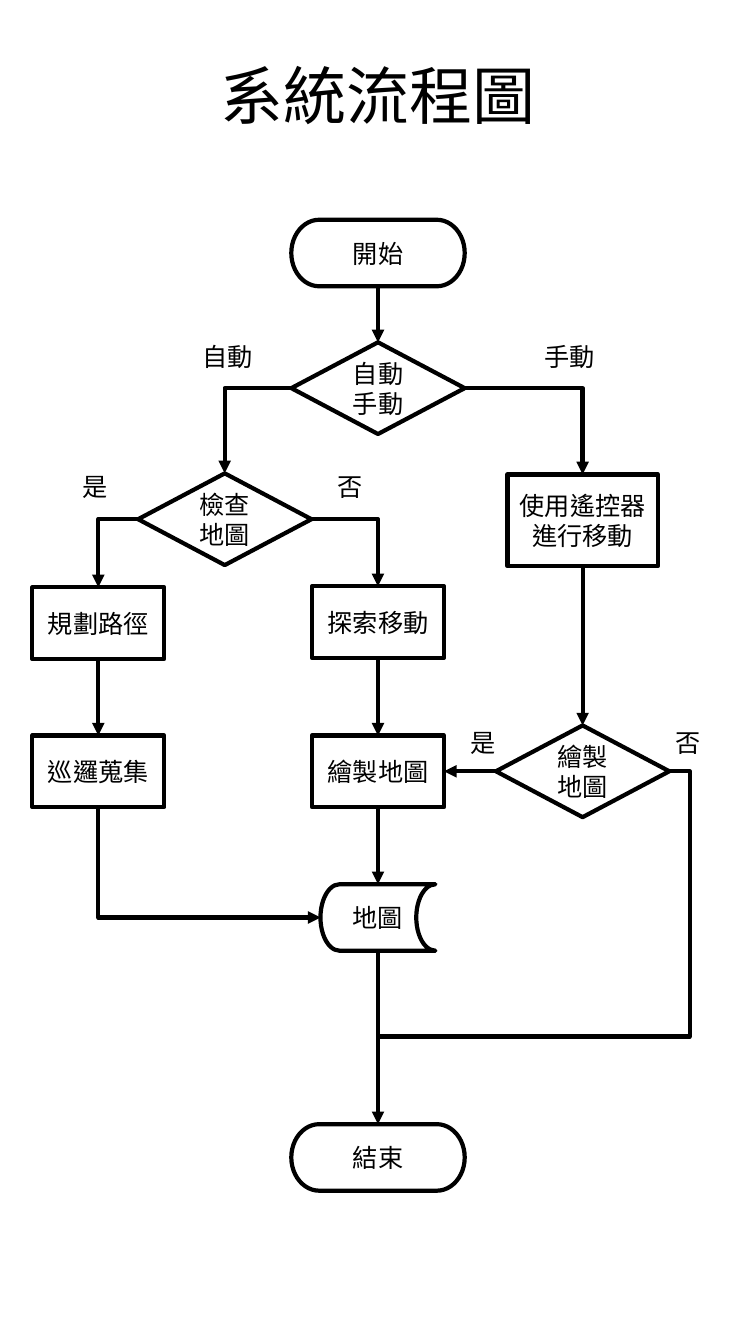
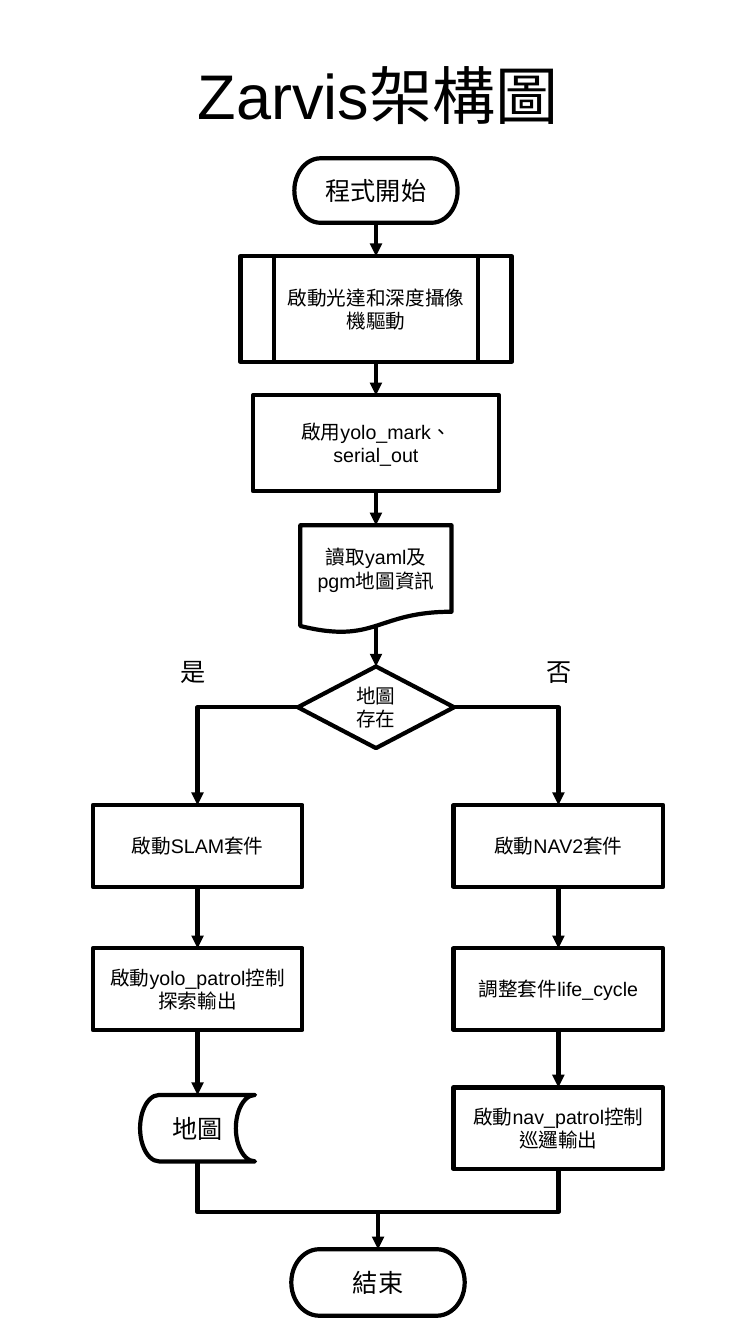
import pptx
import pptx.dml.color
import pptx.enum.shapes
import pptx.enum.text
import pptx.oxml
import pptx.oxml.ns
import pptx.util
import lxml.etree

INK = pptx.dml.color.RGBColor(0, 0, 0)
HAN, LATIN = "Noto Sans CJK SC", "Arial"
WIDE, TALL = pptx.util.Inches(7.5), pptx.util.Inches(13.33)
CELL = WIDE / 75          # grid of 75 columns, square cells
TOP = (0, 15)             # column and row where each chart begins
KIND = pptx.enum.shapes.MSO_SHAPE
LINE = pptx.enum.shapes.MSO_CONNECTOR
ALIGN = pptx.enum.text.PP_ALIGN
MID = pptx.enum.text.MSO_ANCHOR.MIDDLE
LOW = pptx.enum.text.MSO_ANCHOR.BOTTOM
qn = pptx.oxml.ns.qn

# Sides: connection site, then share of width and height
SIDES = {"t": (0, 0.5, 0), "l": (1, 0, 0.5), "b": (2, 0.5, 1), "r": (3, 1, 0.5)}

# Kinds: preset, columns, rows, text size
MODE = {
    "pill": (KIND.FLOWCHART_TERMINATOR, 17.2, 6.6, 18),
    "test": (KIND.FLOWCHART_DECISION, 17.2, 9.1, 18),
    "step": (KIND.FLOWCHART_PROCESS, 13.1, 7.1, 18),
    "wide": (KIND.FLOWCHART_PROCESS, 14.9, 9.1, 18),
    "store": (KIND.FLOWCHART_STORED_DATA, 11.4, 6.6, 18),
}
MODE["store"] = (KIND.FLOWCHART_STORED_DATA,) + MODE["store"][1:]
CODE = {
    "pill": MODE["pill"],
    "store": MODE["store"],
    "open": (KIND.FLOWCHART_TERMINATOR, 16.2, 6.4, 18),
    "sub": (KIND.FLOWCHART_PREDEFINED_PROCESS, 26.9, 10.5, 14),
    "wide": (KIND.RECTANGLE, 24.4, 9.5, 14),
    "file": (KIND.FLOWCHART_DOCUMENT, 15, 10.7, 14),
    "test": (KIND.FLOWCHART_DECISION, 15.5, 8.1, 14),
    "step": (KIND.RECTANGLE, 20.8, 8.1, 14),
}


def cells(*vals):
    return [round(v * CELL) for v in vals]


def write(frame, text, face, size, align, **look):
    """Fill a text frame with one styled run."""
    para = frame.paragraphs[0]
    run = para.add_run()
    run.text = text
    for key, val in {"word_wrap": True, **look}.items():
        setattr(frame, key, val)
    para.alignment = align
    for key, val in {"name": face, "size": pptx.util.Pt(size)}.items():
        setattr(run.font, key, val)
    run.font.color.rgb = INK
    prop = run.font._element
    prop.set("lang", "zh-TW")
    lxml.etree.SubElement(prop, qn("a:ea")).set("typeface", HAN)
    return para


def pen(line):
    line.color.rgb = INK
    line.width = pptx.util.Pt(3)


def head(slide, text, face):
    title = slide.shapes.title
    place = {"left": 0.075, "width": 0.85, "top": 0.035, "height": 0.068}
    for key, part in place.items():
        full = WIDE if key in ("left", "width") else TALL
        setattr(title, key, round(full * part))
    para = write(title.text_frame, text, face, 45, ALIGN.CENTER,
                 vertical_anchor=LOW)
    para.line_spacing = 0.9


def node(slide, box, form, text, face, x, y):
    """Place a shape by its centre."""
    kind, w, h, size = form
    at = cells(box[0] + x - w / 2, box[1] + y - h / 2, w, h)
    shape = slide.shapes.add_shape(kind, *at)
    shape.shadow.inherit = False
    shape.fill.background()
    pen(shape.line)
    write(shape.text_frame, text, face, size, ALIGN.CENTER,
          vertical_anchor=MID)
    return shape


def spot(end, box, nodes):
    """Return shape, site and point of a link's end."""
    if not isinstance(end[0], str):
        return None, None, cells(box[0] + end[0], box[1] + end[1])
    shape = nodes[end[0]]
    site, right, down = SIDES[end[1]]
    if end[1] == "b" and shape.auto_shape_type == KIND.FLOWCHART_DOCUMENT:
        down = 0.93       # the wavy edge
    x = shape.left + round(shape.width * right)
    y = shape.top + round(shape.height * down)
    return shape, site, (x, y)


def link(slide, box, nodes, start, stop, turn=None):
    """Join two ends, straight when level and bent otherwise."""
    one, out, a = spot(start, box, nodes)
    two, into, b = spot(stop, box, nodes)
    gap = min(abs(a[0] - b[0]), abs(a[1] - b[1]))
    bent = gap > CELL / 10
    line = slide.shapes.add_connector(LINE.ELBOW if bent else LINE.STRAIGHT,
                                      *a, *b)
    if one and turn is None:
        line.begin_connect(one, out)
        line.begin_x, line.begin_y = a
    if two and turn is None:
        line.end_connect(two, into)
    pen(line.line)
    prop = line.element.spPr
    lxml.etree.SubElement(prop, qn("a:effectLst"))
    if one and two:
        tail = lxml.etree.SubElement(prop.find(qn("a:ln")), qn("a:tailEnd"))
        tail.set("type", "triangle")
    if not bent:
        return
    geom = prop.find(qn("a:prstGeom"))
    if turn is None:
        geom.set("prst", "bentConnector2")
    else:
        goal = lxml.etree.SubElement(geom.find(qn("a:avLst")), qn("a:gd"))
        goal.set("name", "adj1")
        goal.set("fmla", f"val {round(turn * 100000)}")
    if start[1] == "b":   # leaves downward: quarter turn and flip
        w, h = b[0] - a[0], b[1] - a[1]
        form = prop.find(qn("a:xfrm"))
        form.set("rot", "16200000")
        form.set("flipH", "1")
        place = {"left": a[0] + (w - h) // 2, "top": a[1] + (h - w) // 2,
                 "width": h, "height": w}
        for key, val in place.items():
            setattr(line, key, val)


def chart(slide, box, face, forms, parts, links, tags):
    """Draw a flow chart inside the box."""
    nodes = {name: node(slide, box, forms[kind], text, face, x, y)
             for name, kind, text, x, y in parts}
    for item in links:
        link(slide, box, nodes, *item)
    for text, x, y in tags:
        tag = slide.shapes.add_textbox(*cells(box[0] + x, box[1] + y, 8, 4))
        write(tag.text_frame, text, face, 18, ALIGN.LEFT)


def flow(slide):
    head(slide, "系統流程圖", HAN)
    a, b, c, d = 9.75, 22.3, 37.5, 57.8     # column centres
    parts = [
        ("start", "pill", "開始", c, 10.1),
        ("mode", "test", "自動手動", c, 23.5),
        ("check", "test", "檢查地圖", b, 36.5),
        ("remote", "wide", "使用遙控器進行移動", d, 36.6),
        ("plan", "step", "規劃路徑", a, 46.8),
        ("search", "step", "探索移動", c, 46.7),
        ("patrol", "step", "巡邏蒐集", a, 61.5),
        ("plot", "step", "繪製地圖", c, 61.5),
        ("draw", "test", "繪製地圖", d, 61.5),
        ("map", "store", "地圖", c, 76),
        ("end", "pill", "結束", c, 99.8),
    ]
    links = [
        (("start", "b"), ("mode", "t")),
        (("mode", "l"), ("check", "t")),
        (("mode", "r"), ("remote", "t")),
        (("check", "l"), ("plan", "t")),
        (("check", "r"), ("search", "t")),
        (("plan", "b"), ("patrol", "t")),
        (("search", "b"), ("plot", "t")),
        (("remote", "b"), ("draw", "t")),
        (("draw", "l"), ("plot", "r")),
        (("plot", "b"), ("map", "t")),
        (("patrol", "b"), ("map", "l")),
        (("map", "b"), ("end", "t")),
        (("draw", "r"), (c, 87.8), -0.07),
    ]
    tags = [("自動", 19.1, 18.4), ("手動", 53, 18.4), ("是", 7.2, 31.3),
            ("否", 32.5, 31.3), ("是", 45.7, 56.6), ("否", 66, 56.6)]
    chart(slide, TOP, HAN, MODE, parts, links, tags)


def build(slide):
    head(slide, "Zarvis架構圖", LATIN)
    a, b, c = 19.6, 37.3, 55.4              # column centres
    parts = [
        ("start", "open", "程式開始", b, 3.9),
        ("drive", "sub", "啟動光達和深度攝像機驅動", b, 15.65),
        ("use", "wide", "啟用yolo_mark、serial_out", b, 28.95),
        ("read", "file", "讀取yaml及pgm地圖資訊", b, 42.45),
        ("test", "test", "地圖存在", b, 55.15),
        ("slam", "step", "啟動SLAM套件", a, 68.9),
        ("seek", "step", "啟動yolo_patrol控制探索輸出", a, 83.1),
        ("map", "store", "地圖", a, 96.9),
        ("nav", "step", "啟動NAV2套件", c, 68.9),
        ("life", "step", "調整套件life_cycle", c, 83.1),
        ("guard", "step", "啟動nav_patrol控制巡邏輸出", c, 96.9),
        ("end", "pill", "結束", 37.5, 112.2),
    ]
    runs = [("start", "drive", "use", "read", "test"),
            ("slam", "seek", "map"), ("nav", "life", "guard")]
    links = [((one, "b"), (two, "t"))
             for run in runs for one, two in zip(run, run[1:])]
    links += [
        (("test", "l"), ("slam", "t")),
        (("test", "r"), ("nav", "t")),
        (("map", "b"), ("end", "t"), 0.58),
        ((37.5, 105.2), ("guard", "b")),
    ]
    tags = [("是", 16.9, 49.6), ("否", 53.2, 49.6)]
    chart(slide, TOP, LATIN, CODE, parts, links, tags)


def main():
    deck = pptx.Presentation()
    deck.slide_width, deck.slide_height = WIDE, TALL
    for draw in (flow, build):
        draw(deck.slides.add_slide(deck.slide_layouts[5]))
    deck.save("out.pptx")


if __name__ == "__main__":
    main()
